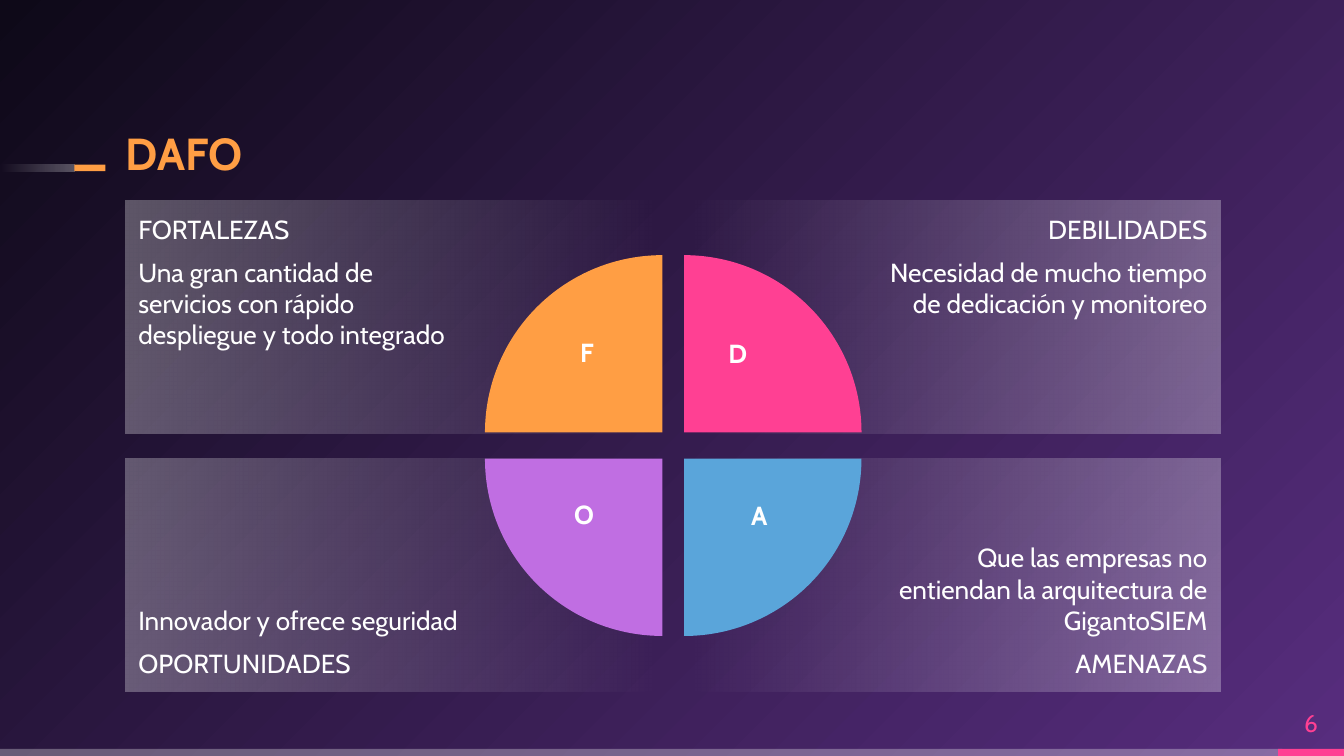
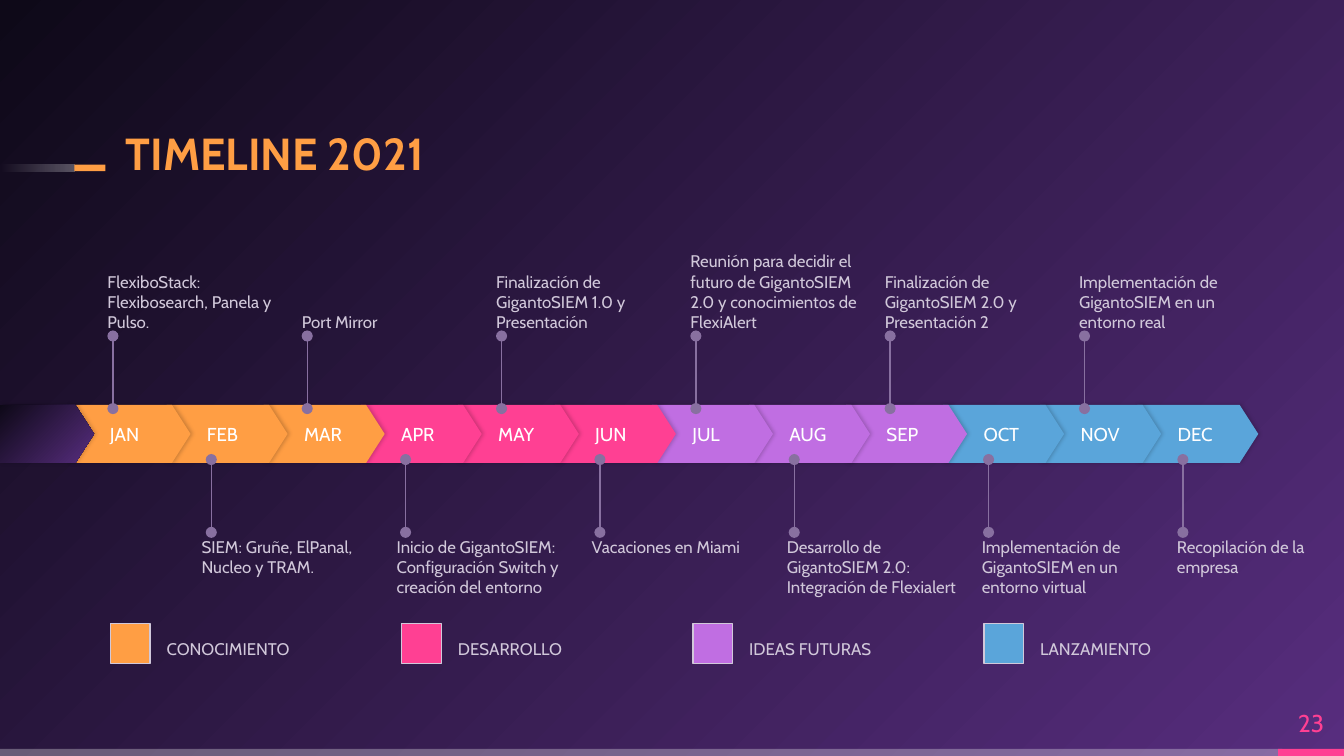
from dataclasses import dataclass
from typing import NamedTuple

from lxml import etree
from pptx import Presentation
from pptx.dml.color import RGBColor
from pptx.enum.shapes import MSO_CONNECTOR, MSO_SHAPE
from pptx.enum.text import MSO_ANCHOR, MSO_AUTO_SIZE, PP_ALIGN
from pptx.oxml.ns import qn
from pptx.util import Pt

RECTANGLE, PIE, ARROW = MSO_SHAPE.RECTANGLE, MSO_SHAPE.PIE, MSO_SHAPE.PENTAGON
STRAIGHT = MSO_CONNECTOR.STRAIGHT
TOP, MIDDLE, BOTTOM = MSO_ANCHOR.TOP, MSO_ANCHOR.MIDDLE, MSO_ANCHOR.BOTTOM
LEFT, CENTER, RIGHT = PP_ALIGN.LEFT, PP_ALIGN.CENTER, PP_ALIGN.RIGHT
NO_FIT = MSO_AUTO_SIZE.NONE
TITLE_ONLY = 5


@dataclass(frozen=True)
class Theme:
    font: str = "Cabin"
    white: str = "FFFFFF"
    black: str = "000000"
    orange: str = "FF9E44"
    pink: str = "FF4093"
    purple: str = "C06EE2"
    blue: str = "5AA5DA"
    night: str = "0E0918"
    violet: str = "572D7E"
    pale: str = "D1C8DA"
    stem: str = "8870A0"
    title: int = 24
    body: int = 14
    number: int = 13
    month: int = 10
    note: int = 9


THEME = Theme()
FADE = [(THEME.white, 30), (THEME.white, 0)]


class Box(NamedTuple):
    left: float
    top: float
    width: float
    height: float

    def inner(self, left, top, width, height):
        """Box given relative to this one's top left corner."""
        return Box(self.left + left, self.top + top, width, height)

    def lengths(self):
        return [Pt(value) for value in self]


PAGE = Box(0, 0, 720, 405)
SWOT = Box(67, 107.2, 587, 263.4)
TIMELINE = Box(0, 136, 720, 220)

# Heading, text, gradient angle, alignment, insets, anchor; row by row
PANELS = [
    (["FORTALEZAS",
      "Una gran cantidad de servicios con rápido despliegue y todo integrado"]),
    (["DEBILIDADES", "Necesidad de mucho tiempo de dedicación y monitoreo"]),
    (["Innovador y ofrece seguridad", "OPORTUNIDADES"]),
    (["Que las empresas no entiendan la arquitectura de GigantoSIEM",
      "AMENAZAS"]),
]
# Column, row, rotation, colour
WEDGES = [
    (0, 0, 0, THEME.orange),
    (1, 0, 90, THEME.pink),
    (1, 1, 180, THEME.blue),
    (0, 1, 270, THEME.purple),
]
# Letter, left, top within the diagram
LETTERS = [("F", 235, 69.2), ("D", 315.8, 69.9),
           ("O", 233.4, 156.3), ("A", 327.3, 157)]

MONTHS = ["JAN", "FEB", "MAR", "APR", "MAY", "JUN",
          "JUL", "AUG", "SEP", "OCT", "NOV", "DEC"]
PHASES = [
    ("CONOCIMIENTO", THEME.orange),
    ("DESARROLLO", THEME.pink),
    ("IDEAS FUTURAS", THEME.purple),
    ("LANZAMIENTO", THEME.blue),
]
UPPER_NOTES = [
    "FlexiboStack: Flexibosearch, Panela y Pulso.",
    "Port Mirror",
    "Finalización de GigantoSIEM 1.0 y Presentación",
    "Reunión para decidir el futuro de GigantoSIEM 2.0 y conocimientos de "
    "FlexiAlert",
    "Finalización de GigantoSIEM 2.0 y Presentación 2",
    "Implementación de GigantoSIEM en un entorno real",
]
LOWER_NOTES = [
    "SIEM: Gruñe, ElPanal, Nucleo y TRAM.",
    "Inicio de GigantoSIEM: Configuración Switch y creación del entorno",
    "Vacaciones en Miami",
    "Desarrollo de GigantoSIEM 2.0: Integración de Flexialert",
    "Implementación de GigantoSIEM en un entorno virtual",
    "Recopilación de la empresa",
]


def rgb(color):
    return RGBColor.from_string(color)


def add_node(parent, tag, **attributes):
    node = etree.SubElement(parent, qn(tag))
    for name, value in attributes.items():
        node.set(name, str(value))
    return node


def add_alpha(color_node, percent):
    add_node(color_node, "a:alpha", val=percent * 1000)


def set_gradient(owner, stops, angle=None):
    """Linear gradient of (colour, opacity) stops; without angle, from the corner."""
    owner.fill.background()
    empty = next(owner.element.iter(qn("a:noFill")))
    gradient = etree.Element(qn("a:gradFill"), rotWithShape="1")
    stop_list = add_node(gradient, "a:gsLst")
    for position, (color, opacity) in zip((0, 100000), stops):
        stop = add_node(stop_list, "a:gs", pos=position)
        add_alpha(add_node(stop, "a:srgbClr", val=color), opacity)
    if angle is None:
        path = add_node(gradient, "a:path", path="circle")
        add_node(path, "a:fillToRect", l=100000, t=100000)
    else:
        add_node(gradient, "a:lin", ang=angle * 60000, scaled=0)
    empty.getparent().replace(empty, gradient)


def add_block(page, kind, box, color=None, line=None):
    block = page.shapes.add_shape(kind, *box.lengths())
    block.shadow.inherit = False
    if color:
        block.fill.solid()
        block.fill.fore_color.rgb = rgb(color)
    if line:
        block.line.color.rgb = rgb(line)
        block.line.width = Pt(0.75)
    else:
        block.line.fill.background()
    return block


def add_fade(page, kind, box, stops, angle):
    block = add_block(page, kind, box)
    set_gradient(block, stops, angle)
    return block


def add_soft_shadow(block):
    effects = block.element.spPr.find(qn("a:effectLst"))
    shadow = add_node(effects, "a:outerShdw", blurRad=Pt(2.2), dist=Pt(0.8),
                      dir=0, algn="ctr", rotWithShape=0)
    add_alpha(add_node(shadow, "a:srgbClr", val=THEME.black), 20)


def write(shape, texts, size, color, bold=False, align=LEFT, anchor=TOP,
          insets=(0, 0, 0, 0), wrap=True, gap=0, spacing=None):
    """Fill a shape with paragraphs; gap surrounds all but the first."""
    frame = shape.text_frame
    left, top, right, bottom = map(Pt, insets)
    frame_format = {"word_wrap": wrap, "auto_size": NO_FIT,
                    "vertical_anchor": anchor, "margin_left": left,
                    "margin_top": top, "margin_right": right,
                    "margin_bottom": bottom}
    for name, value in frame_format.items():
        setattr(frame, name, value)
    font_format = {"name": THEME.font, "size": Pt(size), "bold": bold}
    for index, text in enumerate(texts):
        para = frame.add_paragraph() if index else frame.paragraphs[0]
        space = Pt(gap if index else 0)
        para_format = {"alignment": align, "line_spacing": spacing,
                       "space_before": space, "space_after": space}
        for name, value in para_format.items():
            setattr(para, name, value)
        span = para.add_run()
        span.text = text
        for name, value in font_format.items():
            setattr(span.font, name, value)
        span.font.color.rgb = rgb(color)


def add_text(page, box, text, size, color, **options):
    write(page.shapes.add_textbox(*box.lengths()), [text], size, color, **options)


def add_note(page, box, text, anchor=TOP):
    add_text(page, box, text, THEME.note, THEME.pale, anchor=anchor)


def add_stem(page, x, bottom, top):
    """Vertical line with a dot at each end."""
    stem = page.shapes.add_connector(STRAIGHT, Pt(x), Pt(bottom), Pt(x), Pt(top))
    stem.line.color.rgb = rgb(THEME.stem)
    stem.line.width = Pt(0.75)
    line = stem.line._get_or_add_ln()
    for tag in ("a:headEnd", "a:tailEnd"):
        add_node(line, tag, type="oval")
    add_node(stem.element.spPr, "a:effectLst")


def add_page(deck, title, number, box=PAGE):
    """Slide with footer band, title dash, title and page number."""
    page = deck.slides.add_slide(deck.slide_layouts[TITLE_ONLY])
    band = add_block(page, RECTANGLE, box.inner(0, 401.25, 687, 3.75), THEME.white)
    add_alpha(next(band.element.spPr.iter(qn("a:srgbClr"))), 30)
    add_block(page, RECTANGLE, box.inner(684.7, 401.25, 35.3, 3.75), THEME.pink)
    add_fade(page, RECTANGLE, box.inner(0, 88.2, 40, 3.5), FADE, 180)
    add_block(page, RECTANGLE, box.inner(39.8, 88.2, 16.7, 3.5), THEME.orange)

    heading = page.shapes.title
    place = box.inner(67.5, 65.5, 417.6, 31)
    for name, value in zip(("left", "top", "width", "height"), place.lengths()):
        setattr(heading, name, value)
    write(heading, [title], THEME.title, THEME.orange, bold=True,
          anchor=BOTTOM, spacing=0.9)
    add_text(page, box.inner(684.7, 373.7, 35.3, 27.4), number, THEME.number,
             THEME.pink, align=CENTER, anchor=MIDDLE)
    return page


def add_panels(page, box):
    width, height = 287.3, 125
    for index, texts in enumerate(PANELS):
        row, column = divmod(index, 2)
        place = box.inner(column * (box.width - width),
                          row * (box.height - height), width, height)
        panel = add_fade(page, RECTANGLE, place, FADE, 180 * column)
        insets = (108, 7.2, 7.2, 7.2) if column else (7.2, 7.2, 108, 7.2)
        write(panel, texts, THEME.body, THEME.white, gap=6, insets=insets,
              align=RIGHT if column else LEFT, anchor=BOTTOM if row else TOP)


def add_wheel(page, box):
    for column, row, rotation, color in WEDGES:
        place = box.inner(192.8 + 11.7 * column, 29.5 + 14 * row, 190, 190)
        wedge = add_block(page, PIE, place, color)
        wedge.rotation = rotation
        wedge.adjustments[0] = 108
        wedge.adjustments[1] = 162
    for letter, left, top in LETTERS:
        add_text(page, box.inner(left, top, 25, 34), letter, THEME.body,
                 THEME.white, bold=True, align=CENTER, wrap=False,
                 insets=(7.2, 3.6, 7.2, 3.6))


def add_months(page, box):
    """Chevron-like row, drawn from last to first so each covers the next."""
    for index, month in reversed(list(enumerate(MONTHS))):
        arrow = add_block(page, ARROW, box.inner(37.3 + 52 * index, 81, 64.8, 31),
                          PHASES[index // 3][1])
        write(arrow, [month], THEME.month, THEME.white, anchor=MIDDLE,
              insets=(21.6, 0, 0, 0))
        arrow.adjustments[0] = 0.32
        add_soft_shadow(arrow)
    tail = add_fade(page, ARROW, box.inner(0, 81, 50.4, 31),
                    [(THEME.night, 100), (THEME.violet, 100)], 45)
    tail.adjustments[0] = 0.32
    add_soft_shadow(tail)


def add_events(page, box):
    width, height, step = 98.6, 41.8, 104.1
    for index, text in enumerate(UPPER_NOTES):
        shift = step * index
        add_stem(page, box.left + 60.5 + shift, box.top + 82.9, box.top + 44)
        add_note(page, box.inner(57.6 + shift, 0, width, height), text, BOTTOM)
    for index, text in enumerate(LOWER_NOTES):
        left = 108 + 104.5 * index
        add_stem(page, box.left + 113.2 + step * index,
                 box.top + 149.2, box.top + 110.2)
        add_note(page, box.inner(left, 151.3, min(width, 712 - left), height), text)


def add_legend(page, box):
    for index, (name, color) in enumerate(PHASES):
        left = 59.2 + 156 * index
        add_block(page, RECTANGLE, box.inner(left, 198.2, 21.2, 21.2), color,
                  THEME.pale)
        add_note(page, box.inner(left + 30.1, 201, 98.6, 15.8), name, BOTTOM)


def main():
    deck = Presentation()
    deck.slide_width, deck.slide_height = Pt(PAGE.width), Pt(PAGE.height)
    master = deck.slide_master
    master.background.fill.background()
    set_gradient(MasterBackdrop(master.background.fill, master.element),
                 [(THEME.violet, 100), (THEME.night, 100)])

    swot_page = add_page(deck, "DAFO", "6")
    add_panels(swot_page, SWOT)
    add_wheel(swot_page, SWOT)

    timeline_page = add_page(deck, "TIMELINE 2021", "23")
    add_months(timeline_page, TIMELINE)
    add_events(timeline_page, TIMELINE)
    add_legend(timeline_page, TIMELINE)
    deck.save("out.pptx")


class MasterBackdrop(NamedTuple):
    fill: object
    element: object


if __name__ == "__main__":
    main()
